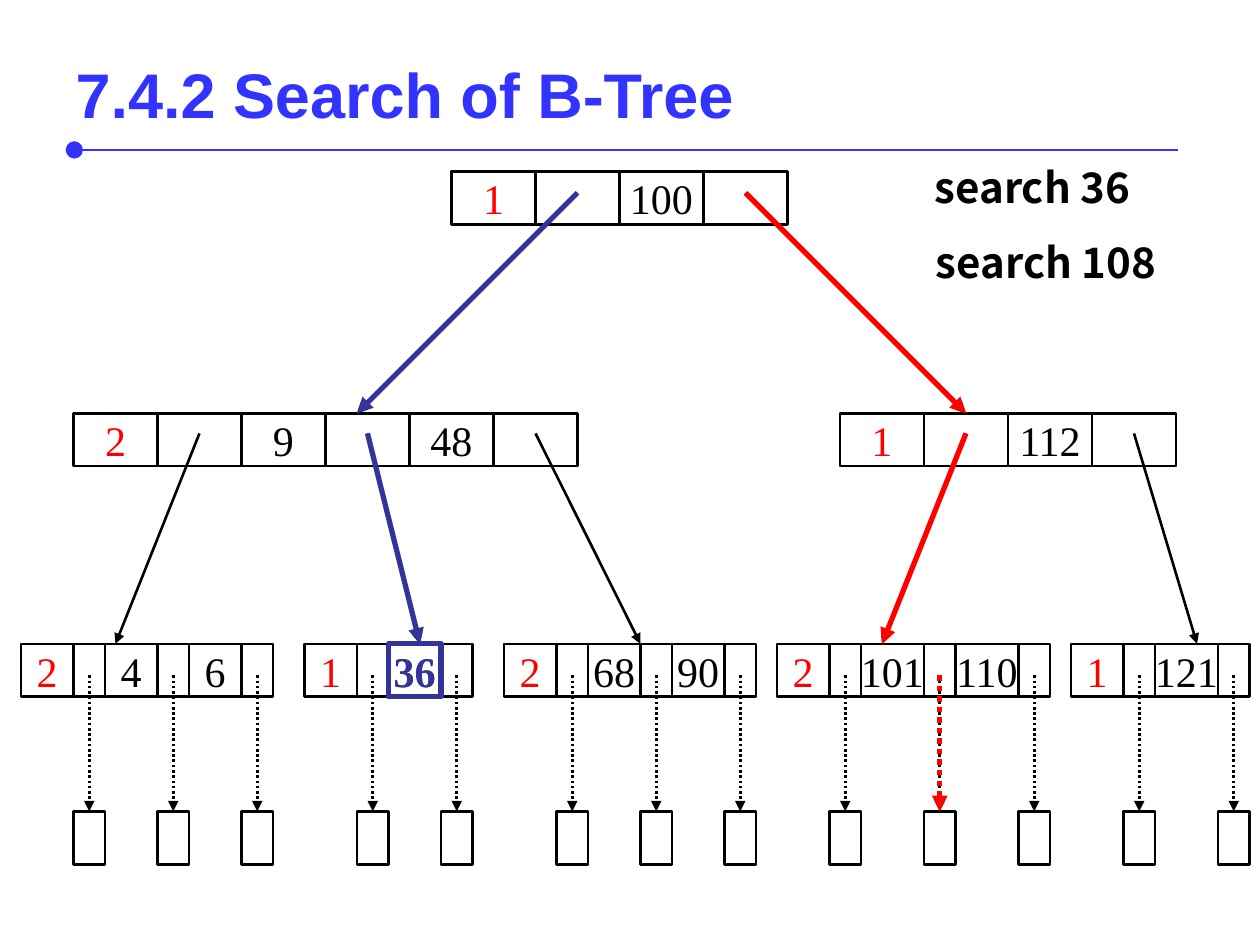
from lxml import etree
from pptx import Presentation
from pptx import util as u
from pptx.dml.color import RGBColor
from pptx.enum import dml, shapes, text
from pptx.oxml import ns

HUES = {"ink": "000000", "red": "FF0000", "navy": "333399", "blue": "3333FF"}
ROWS = {"root": 1.36, "inner": 3.28, "leaf": 5.11, "null": 6.44}
TALL = 0.42
LEAVES = [
    (2, 5, ["2", "4", "6"]),
    (29, 5, ["1", "36"]),
    (48, 5, ["2", "68", "90"]),
    (74, 6, ["2", "101", "110"]),
    (102, 6, ["1", "121"]),
]
HEADS = [11, 40, 61, 84, 114]


def twelfth(n):
    """Turn a count of grid steps, twelve to the inch, into inches."""
    return n / 12


def hue(name):
    """Look up a named colour."""
    return RGBColor.from_string(HUES[name])


def write(frame, words, face="Times New Roman", size=24, tint="ink", bold=False,
          align=text.PP_ALIGN.LEFT, anchor=text.MSO_ANCHOR.TOP, wrap=False):
    """Put one formatted line of text in a frame."""
    frame.word_wrap = wrap
    frame.auto_size = text.MSO_AUTO_SIZE.NONE
    frame.vertical_anchor = anchor
    para = frame.paragraphs[0]
    para.alignment = align
    run = para.add_run()
    run.text = words
    font = run.font
    font.name, font.size, font.bold = face, u.Pt(size), bold
    font.color.rgb = hue(tint)
    props = run._r.get_or_add_rPr()
    etree.SubElement(props, ns.qn("a:ea")).set("typeface", face)


def cell(slide, left, top, wide, words="", tint="ink", line="ink", width=1.5, bold=False):
    """Draw one outlined box, with centred text if given."""
    box = slide.shapes.add_shape(shapes.MSO_SHAPE.RECTANGLE, u.Inches(left),
                                 u.Inches(top), u.Inches(wide), u.Inches(TALL))
    box.shadow.inherit = False
    box.fill.background()
    box.line.color.rgb = hue(line)
    box.line.width = u.Pt(width)
    if words:
        write(box.text_frame, words, tint=tint, bold=bold,
              align=text.PP_ALIGN.CENTER, anchor=text.MSO_ANCHOR.MIDDLE)


def link(slide, start, end, tint="ink", width=1.5, dots=False,
         tip="tailEnd", kind="triangle", size="med"):
    """Draw a straight line with a mark at one end."""
    wire = slide.shapes.add_connector(shapes.MSO_CONNECTOR.STRAIGHT,
                                      *map(u.Inches, (*start, *end)))
    wire.line.color.rgb = hue(tint)
    wire.line.width = u.Pt(width)
    if dots:
        wire.line.dash_style = dml.MSO_LINE.ROUND_DOT
    mark = etree.SubElement(wire.line._get_or_add_ln(), ns.qn(f"a:{tip}"))
    mark.set("type", kind)
    mark.set("w", size)
    mark.set("len", size)
    etree.SubElement(wire._element.spPr, ns.qn("a:effectLst"))


def node(slide, left, top, keys, first=8, gap=8, room=8):
    """Draw a count, its keys and pointers; return the pointer centres."""
    spots = []
    for i, key in enumerate(keys):
        wide = room if i else first
        cell(slide, twelfth(left), top, twelfth(wide), key, tint="ink" if i else "red")
        left += wide
        cell(slide, twelfth(left), top, twelfth(gap))
        spots.append(twelfth(left + gap / 2))
        left += gap
    return spots


def tree(slide):
    """Draw the whole B-tree and return its links by level."""
    root = node(slide, 43, ROWS["root"], ["1", "100"])
    inner = (node(slide, 7, ROWS["inner"], ["2", "9", "48"])
             + node(slide, 80, ROWS["inner"], ["1", "112"]))
    upper = [((x, ROWS["root"] + 0.17), (twelfth(n), ROWS["inner"]))
             for x, n in zip(root, (34, 92))]
    lower = [((x, ROWS["inner"] + 0.16), (twelfth(n), ROWS["leaf"]))
             for x, n in zip(inner, HEADS)]
    ends = []
    for left, room, keys in LEAVES:
        for x in node(slide, left, ROWS["leaf"], keys, 5, 3, room):
            cell(slide, x - 0.125, ROWS["null"], 0.25)
            ends.append(((x, ROWS["leaf"] + 0.25), (x, ROWS["null"])))
    for start, end in upper + lower:
        link(slide, start, end)
    for start, end in ends:
        link(slide, start, end, dots=True)
    return upper, lower, ends


def paths(slide, upper, lower, ends):
    """Mark the two search routes over the tree."""
    for route, tint in (((upper[0], lower[1]), "navy"), ((upper[1], lower[3]), "red")):
        for start, end in route:
            link(slide, start, end, tint, 3)
    link(slide, *ends[9], "red", 3, dots=True)
    cell(slide, twelfth(37), ROWS["leaf"], twelfth(5), "36", "navy", "navy", 3, True)


def header(slide, left, top, wide, tall):
    """Place the title and the rule under it."""
    title = slide.shapes.title
    title.left, title.top, title.width, title.height = map(
        u.Inches, (left, top, wide, tall))
    write(title.text_frame, "7.4.2 Search of B-Tree", face="Arial", size=36,
          tint="blue", bold=True, anchor=text.MSO_ANCHOR.MIDDLE, wrap=True)
    base = top + tall + 0.01
    link(slide, (left + 0.09, base), (left + wide - 0.15, base), "blue",
         tip="headEnd", kind="oval", size="lg")


def tasks(slide, left, top, wide):
    """List the two searches at the upper right."""
    for i, words in enumerate(("search 36", "search 108")):
        box = slide.shapes.add_textbox(u.Inches(left + 0.01 * i), u.Inches(top + 0.6 * i),
                                       u.Inches(wide), u.Inches(0.5))
        write(box.text_frame, words, face="Noto Sans CJK SC", bold=True, wrap=True)


def main():
    """Build the slide and save it."""
    deck = Presentation()
    deck.slide_width, deck.slide_height = u.Inches(10), u.Inches(7.5)
    slide = deck.slides.add_slide(deck.slide_layouts[5])
    header(slide, 0.5, 0.3, 9, 0.88)
    tasks(slide, 7.32, 1.23, 2.2)
    paths(slide, *tree(slide))
    deck.save("out.pptx")


if __name__ == "__main__":
    main()
